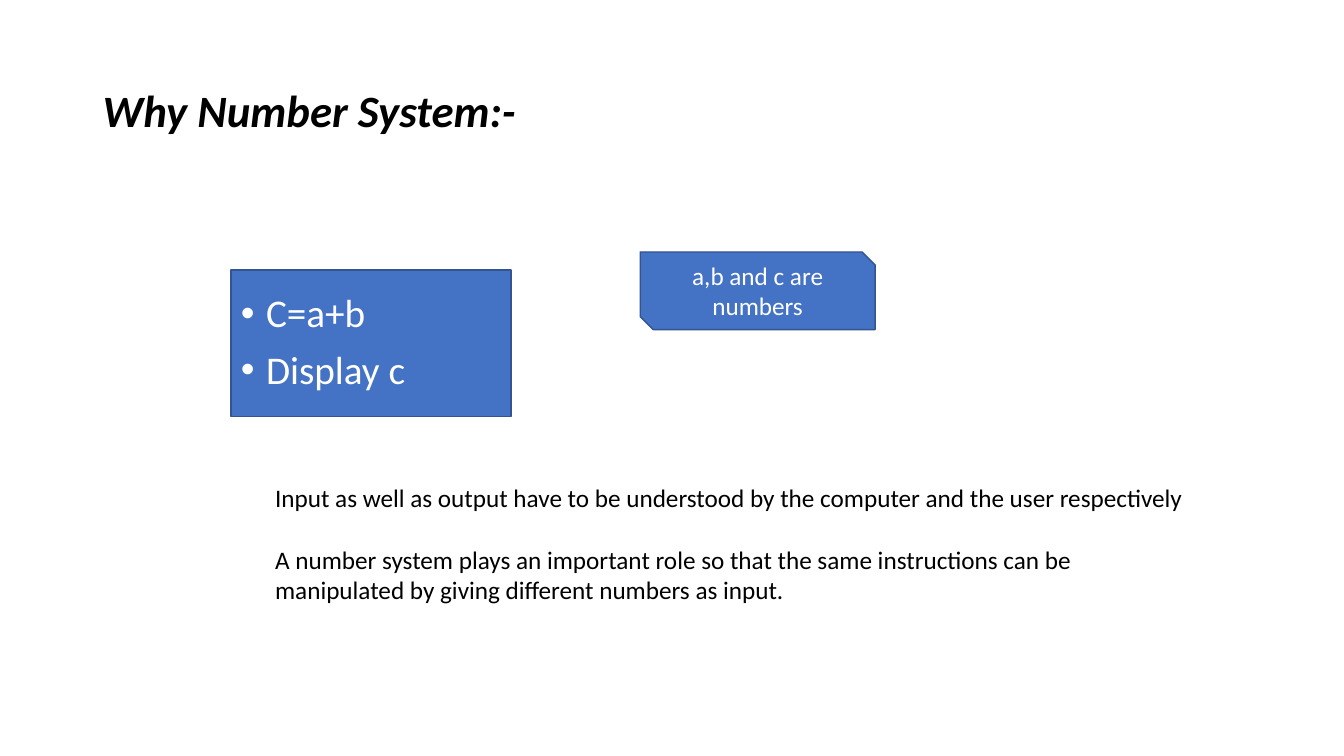
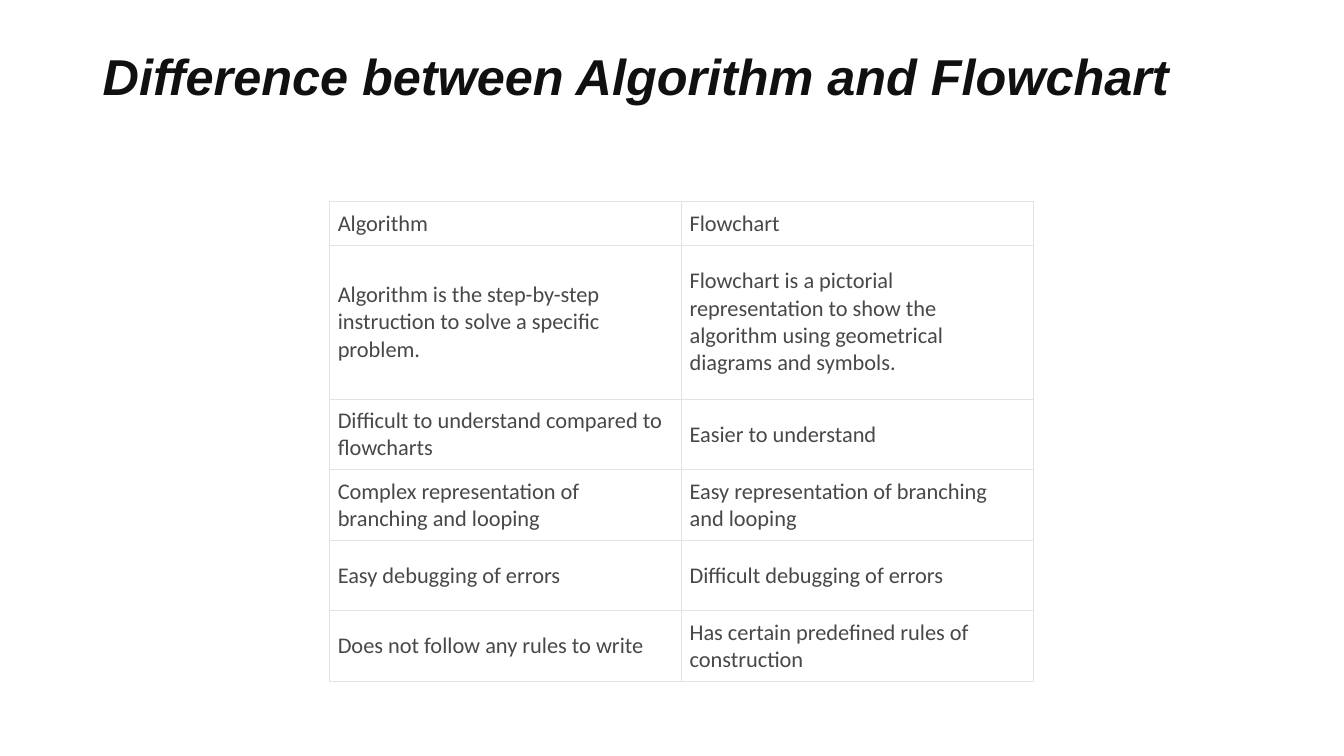
from lxml.etree import SubElement
from pptx import Presentation
from pptx.dml.color import RGBColor
from pptx.enum.shapes import MSO_SHAPE
from pptx.enum.text import MSO_ANCHOR, PP_ALIGN
from pptx.oxml.ns import qn
from pptx.util import Inches, Pt

# Content
NUMBER_TITLE = "Why Number System:-"
PROGRAM_STEPS = ["C=a+b", "Display c"]
VARIABLES_NOTE = "a,b and c are numbers"
EXPLANATION = [
    "Input as well as output have to be understood by the computer and the user respectively",
    "A number system plays an important role so that the same instructions can be "
    "manipulated by giving different numbers as input.",
]
COMPARISON_TITLE = "Difference between Algorithm and Flowchart"
COMPARISON = [  # row height, algorithm, flowchart
    (0.43, "Algorithm", "Flowchart"),
    (1.53, "Algorithm is the step-by-step instruction to solve a specific problem.",
     "Flowchart is a pictorial representation to show the algorithm using "
     "geometrical diagrams and symbols."),
    (0.7, "Difficult to understand compared to flowcharts", "Easier to understand"),
    (0.7, "Complex representation of branching and looping",
     "Easy representation of branching and looping"),
    (0.7, "Easy debugging of errors", "Difficult debugging of errors"),
    (0.7, "Does not follow any rules to write", "Has certain predefined rules of construction"),
]

# Shared style
COLORS = {"black": "000000", "heading": "101010", "white": "FFFFFF", "blue": "4472C4",
          "outline": "325491", "cell_text": "484848", "grid": "E3E3E3"}
BODY_FONT = "Calibri"
COLUMN_WIDTH = 3.49
CELL_MARGIN = 0.08


def rgb(name):
    return RGBColor.from_string(COLORS[name])


def write(frame, texts, size, color, font=BODY_FONT):
    """Fill a text frame with one paragraph per text and return the paragraphs."""
    frame.word_wrap = True
    for i, text in enumerate(texts):
        paragraph = frame.add_paragraph() if i else frame.paragraphs[0]
        paragraph.text = text
        paragraph.font.size = Pt(size)
        paragraph.font.name = font
        paragraph.font.color.rgb = rgb(color)
    return frame.paragraphs


def add_text(slide, box, texts, size, color, font=BODY_FONT):
    frame = slide.shapes.add_textbox(*map(Inches, box)).text_frame
    return frame, write(frame, texts, size, color, font)


def add_title(slide, text, height, size, color, font):
    frame, (heading,) = add_text(slide, (0.92, 0.4, 11.5, height), [text], size, color, font)
    frame.vertical_anchor = MSO_ANCHOR.MIDDLE
    heading.line_spacing = 0.9
    heading.font.bold = heading.font.italic = True


def add_panel(slide, preset, box, texts, size, align):
    panel = slide.shapes.add_shape(preset, *map(Inches, box))
    panel.shadow.inherit = False
    panel.fill.solid()
    panel.fill.fore_color.rgb = rgb("blue")
    panel.line.color.rgb = rgb("outline")
    panel.line.width = Pt(1)
    panel.text_frame.vertical_anchor = MSO_ANCHOR.MIDDLE
    paragraphs = write(panel.text_frame, texts, size, "white")
    for paragraph in paragraphs:
        paragraph.alignment = align
    return paragraphs


def add_bullet(paragraph):
    properties = paragraph._p.get_or_add_pPr()
    properties.set("marL", str(Inches(0.25)))
    properties.set("indent", str(-Inches(0.25)))
    SubElement(properties, qn("a:buFont"), typeface="Arial")
    SubElement(properties, qn("a:buChar"), char="•")


def add_borders(cell):
    properties = cell._tc.get_or_add_tcPr()
    for side in ("a:lnL", "a:lnR", "a:lnT", "a:lnB"):
        border = SubElement(properties, qn(side), w=str(Pt(0.6)))
        fill = SubElement(border, qn("a:solidFill"))
        SubElement(fill, qn("a:srgbClr"), val=COLORS["grid"])


def build_number_slide(slide):
    add_title(slide, NUMBER_TITLE, 1.45, 32, "black", BODY_FONT)
    steps = add_panel(slide, MSO_SHAPE.RECTANGLE, (2.29, 2.68, 2.78, 1.45),
                      PROGRAM_STEPS, 28, PP_ALIGN.LEFT)
    for step in steps:
        step.line_spacing = 0.9
        step.space_before = Pt(10)
        add_bullet(step)
    add_panel(slide, MSO_SHAPE.SNIP_2_DIAG_RECTANGLE, (6.35, 2.5, 2.33, 0.77),
              [VARIABLES_NOTE], 18, PP_ALIGN.CENTER)
    _, explanation = add_text(slide, (2.63, 4.74, 9.21, 1.62), EXPLANATION, 18, "black")
    explanation[1].space_before = Pt(22)


def build_comparison_slide(slide):
    add_title(slide, COMPARISON_TITLE, 0.78, 36, "heading", "Arial")
    total_height = sum(row[0] for row in COMPARISON)
    comparison = slide.shapes.add_table(
        len(COMPARISON), 2, Inches(3.27), Inches(2),
        Inches(2 * COLUMN_WIDTH), Inches(total_height)).table
    comparison.first_row = comparison.horz_banding = False
    for column in comparison.columns:
        column.width = Inches(COLUMN_WIDTH)
    for row, (height, *texts) in zip(comparison.rows, COMPARISON):
        row.height = Inches(height)
        for cell, text in zip(row.cells, texts):
            add_borders(cell)
            cell.fill.solid()
            cell.fill.fore_color.rgb = rgb("white")
            cell.vertical_anchor = MSO_ANCHOR.MIDDLE
            cell.margin_left = cell.margin_right = Inches(CELL_MARGIN)
            cell.margin_top = cell.margin_bottom = Inches(CELL_MARGIN)
            write(cell.text_frame, [text], 16, "cell_text")


def main():
    deck = Presentation()
    deck.slide_width, deck.slide_height = Inches(13.33), Inches(7.5)
    for build in (build_number_slide, build_comparison_slide):
        build(deck.slides.add_slide(deck.slide_layouts[6]))
    deck.save("out.pptx")


if __name__ == "__main__":
    main()
